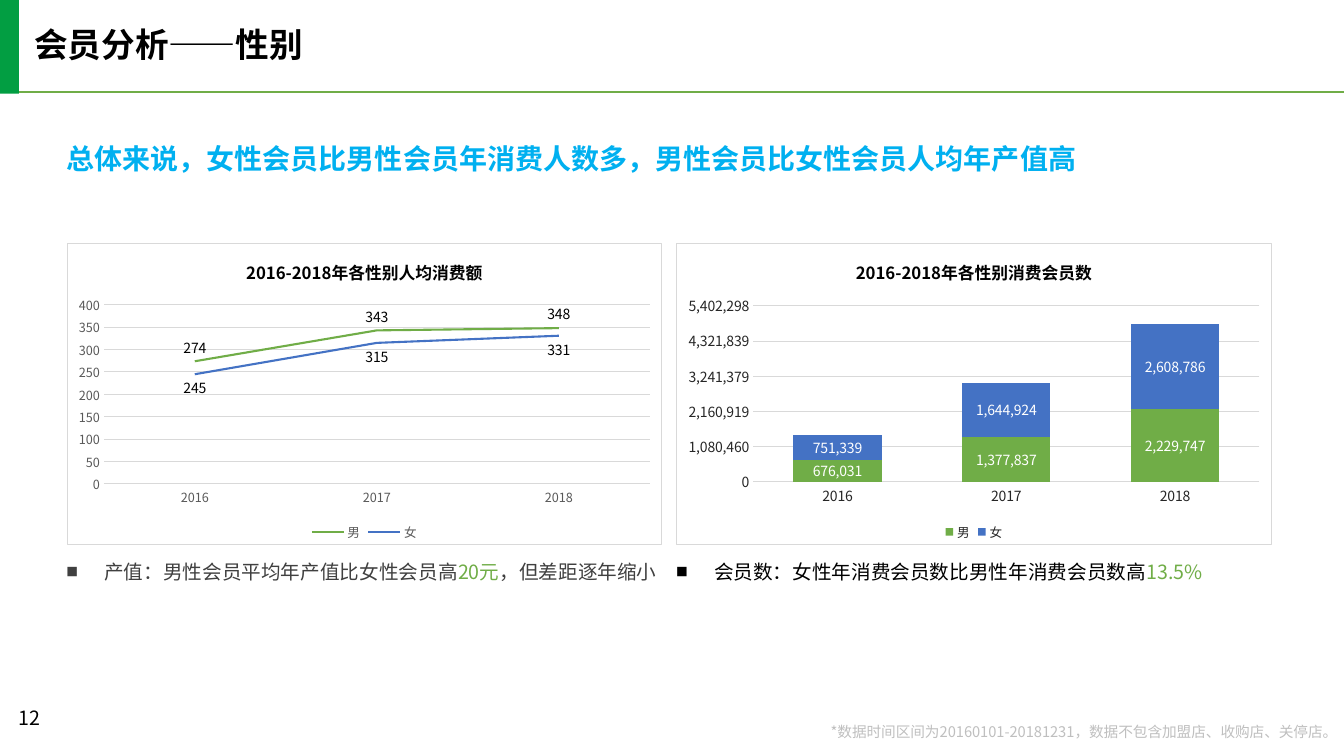
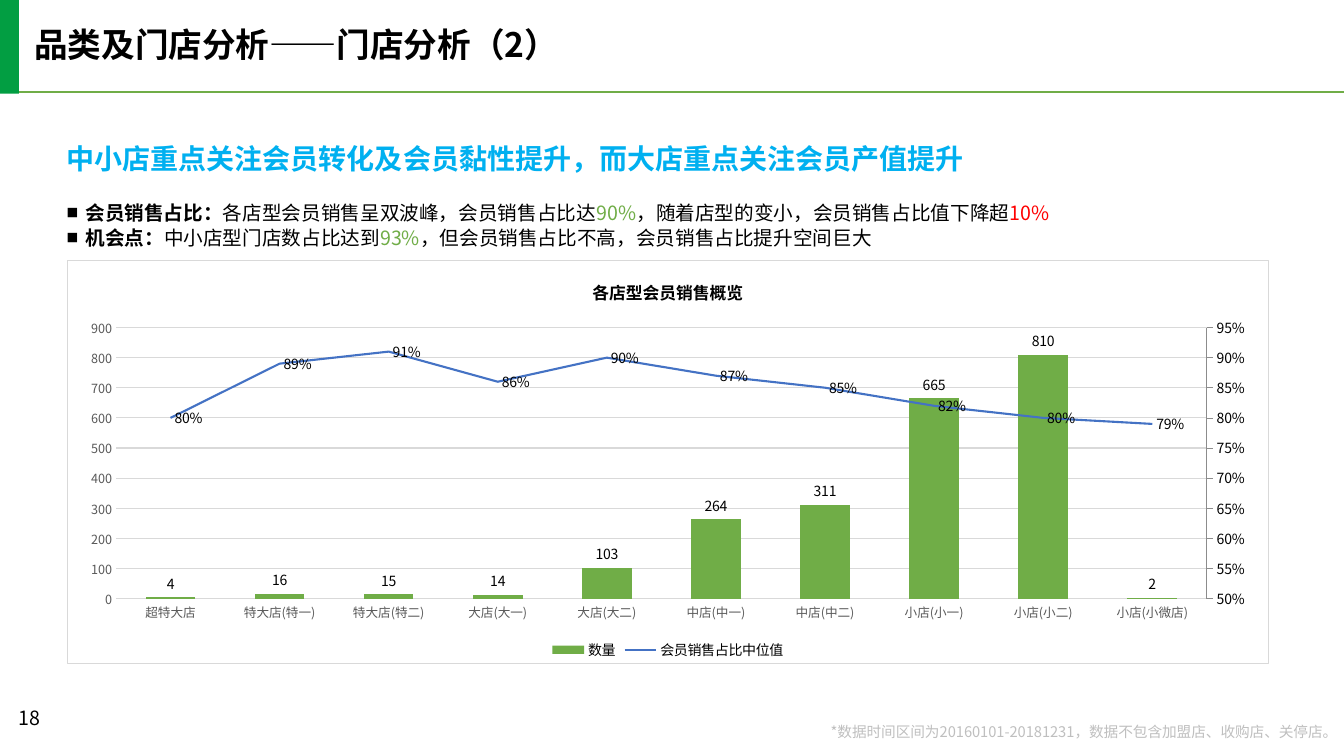
from lxml.etree import SubElement
from pptx import Presentation
from pptx.chart.axis import ValueAxis
from pptx.chart.data import CategoryChartData
from pptx.dml.color import RGBColor
from pptx.enum.chart import XL_CHART_TYPE as ChartType, XL_LABEL_POSITION as LabelPosition
from pptx.enum.chart import XL_LEGEND_POSITION as LegendPosition, XL_MARKER_STYLE as MarkerStyle
from pptx.enum.chart import XL_TICK_MARK as TickMark
from pptx.enum.shapes import MSO_CONNECTOR as Connector, MSO_SHAPE as Shape
from pptx.enum.text import MSO_ANCHOR as Anchor, MSO_AUTO_SIZE as AutoSize, PP_ALIGN as Align
from pptx.oxml import parse_xml
from pptx.oxml.ns import nsdecls, qn
from pptx.util import Pt

FONT = "Noto Sans CJK SC"
COLORS = {
    "black": "000000", "white": "FFFFFF", "band": "029E42", "green": "70AD47",
    "blue": "4472C4", "headline": "00B0F0", "red": "FF0000", "dark": "262626",
    "text": "404040", "axis": "595959", "grid": "D9D9D9", "footnote": "BFBFBF",
    "right_axis": "8C8C8C",
}
RGB = {name: RGBColor.from_string(value) for name, value in COLORS.items()}
FOOTNOTE = "*数据时间区间为20160101-20181231，数据不包含加盟店、收购店、关停店。"
MARGIN = 47.5


def set_font(font, size, color="black", bold=False):
    font.size, font.bold, font.name = Pt(size), bold, FONT
    font.color.rgb = RGB[color]
    SubElement(font._rPr, qn("a:ea"), typeface=FONT)


def add_text(slide, box, paragraphs, size, color="black", bold=False, align=Align.LEFT,
             spacing=1.0, anchor=Anchor.TOP, indent=0, wrap=True, grow=False):
    frame = slide.shapes.add_textbox(*map(Pt, box)).text_frame
    frame.margin_left = frame.margin_right = frame.margin_top = frame.margin_bottom = 0
    frame.word_wrap, frame.vertical_anchor = wrap, anchor
    frame.auto_size = AutoSize.SHAPE_TO_FIT_TEXT if grow else AutoSize.NONE
    for index, runs in enumerate(paragraphs):
        paragraph = frame.add_paragraph() if index else frame.paragraphs[0]
        paragraph.alignment, paragraph.line_spacing = align, spacing
        if indent:
            properties = paragraph._p.get_or_add_pPr()
            properties.set("marL", str(Pt(indent)))
            properties.set("indent", str(-Pt(indent)))
            SubElement(properties, qn("a:buSzPct"), val="60000")
            SubElement(properties, qn("a:buFont"), typeface=FONT)
            SubElement(properties, qn("a:buChar"), char="■")
        for text, changes in runs:
            run = paragraph.add_run()
            run.text = text
            set_font(run.font, **({"size": size, "color": color, "bold": bold} | changes))


GREEN, RED, BOLD = {"color": "green"}, {"color": "red"}, {"bold": True}
YEARS = ["2016", "2017", "2018"]
PAIR_LEFT, PAIR_TOP, PAIR_WIDTH, PAIR_HEIGHT, PAIR_STEP = MARGIN, 173.5, 425.5, 216, 435.5
NOTE = {"size": 14, "anchor": Anchor.MIDDLE, "grow": True}
PAIR_NOTE = NOTE | {"spacing": 1.5, "indent": 27}

pages = [
    {
        "number": "12",
        "title": "会员分析——性别",
        "headline": "总体来说，女性会员比男性会员年消费人数多，男性会员比女性会员人均年产值高",
        "notes": [
            ((PAIR_LEFT, 393, 440.5, 22),
             [[("产值：男性会员平均年产值比女性会员高", {}), ("20元", GREEN),
               ("，但差距逐年缩小", {})]],
             PAIR_NOTE | {"color": "text"}),
            ((PAIR_LEFT + PAIR_STEP, 393, 430.5, 22),
             [[("会员数：女性年消费会员数比男性年消费会员数高", {}), ("13.5%", GREEN)]],
             PAIR_NOTE),
        ],
        "charts": [
            {
                "type": ChartType.LINE, "title": "2016-2018年各性别人均消费额",
                "box": (PAIR_LEFT, PAIR_TOP, PAIR_WIDTH, PAIR_HEIGHT), "categories": YEARS,
                "series": [
                    ("男", [274, 343, 348], "green", LabelPosition.ABOVE, "0"),
                    ("女", [245, 315, 331], "blue", LabelPosition.BELOW, "0"),
                ],
                "axis_font": (9, "axis"), "legend_font": (9, "axis"), "label_color": "black",
                "maximum": 400, "unit": 50, "format": "0",
            },
            {
                "type": ChartType.COLUMN_STACKED, "title": "2016-2018年各性别消费会员数",
                "box": (PAIR_LEFT + PAIR_STEP, PAIR_TOP, PAIR_WIDTH, PAIR_HEIGHT),
                "categories": YEARS,
                "series": [
                    ("男", [676031, 1377837, 2229747], "green", LabelPosition.CENTER, "#,##0"),
                    ("女", [751339, 1644924, 2608786], "blue", LabelPosition.CENTER, "#,##0"),
                ],
                "axis_font": (10, "dark"), "legend_font": (9, "dark"), "label_color": "white",
                "maximum": 5402298.25, "unit": 1080459.65, "format": "#,##0",
                "gap": 91, "overlap": 100,
            },
        ],
    },
    {
        "number": "18",
        "title": "品类及门店分析——门店分析（2）",
        "headline": "中小店重点关注会员转化及会员黏性提升，而大店重点关注会员产值提升",
        "notes": [
            ((MARGIN, 142, 835, 36),
             [[("会员销售占比：", BOLD), ("各店型会员销售呈双波峰，会员销售占比达", {}),
               ("90%", GREEN), ("，随着店型的变小，会员销售占比值下降超", {}), ("10%", RED)],
              [("机会点：", BOLD), ("中小店型门店数占比达到", {}), ("93%", GREEN),
               ("，但会员销售占比不高，会员销售占比提升空间巨大", {})]],
             NOTE | {"spacing": Pt(18), "indent": 13.5}),
        ],
        "charts": [
            {
                "type": ChartType.COLUMN_CLUSTERED, "title": "各店型会员销售概览",
                "box": (MARGIN, 186, 859, 288.5),
                "categories": ["超特大店", "特大店(特一)", "特大店(特二)", "大店(大一)",
                               "大店(大二)", "中店(中一)", "中店(中二)", "小店(小一)",
                               "小店(小二)", "小店(小微店)"],
                "series": [
                    ("数量", [4, 16, 15, 14, 103, 264, 311, 665, 810, 2], "green",
                     LabelPosition.OUTSIDE_END, "0"),
                    ("会员销售占比中位值",
                     [0.8, 0.89, 0.91, 0.86, 0.9, 0.87, 0.85, 0.82, 0.8, 0.79], "blue",
                     LabelPosition.RIGHT, "0%"),
                ],
                "axis_font": (9, "axis"), "legend_font": (10, "black"), "label_color": "black",
                "maximum": 900, "unit": 100, "format": "0",
                "gap": 120, "overlap": 0, "right_line": True,
            },
        ],
    },
]

presentation = Presentation()
presentation.slide_width, presentation.slide_height = Pt(960), Pt(540)

for page in pages:
    slide = presentation.slides.add_slide(presentation.slide_layouts[6])

    rule = slide.shapes.add_connector(Connector.STRAIGHT, 0, Pt(66), Pt(960), Pt(66))
    rule.line.color.rgb, rule.line.width = RGB["green"], Pt(1.5)
    SubElement(rule._element.spPr, qn("a:effectLst"))

    band = slide.shapes.add_shape(Shape.RECTANGLE, 0, 0, Pt(13.5), Pt(67))
    band.shadow.inherit = False
    band.fill.solid()
    band.fill.fore_color.rgb = RGB["band"]
    band.line.fill.background()

    add_text(slide, (24.5, 20, 453, 26), [[(page["title"], {})]], 24, bold=True, spacing=0.9)
    add_text(slide, (MARGIN, 107, 868, 18.5), [[(page["headline"], {})]], 20,
             color="headline", bold=True, spacing=Pt(18), anchor=Anchor.MIDDLE, grow=True)
    add_text(slide, (582, 517.5, 373.5, 11.5), [[(FOOTNOTE, {})]], 10.5, color="footnote",
             align=Align.RIGHT, spacing=0.9, wrap=False, grow=True)
    add_text(slide, (13.5, 504, 50, 21.5), [[(page["number"], {})]], 14)
    for box, paragraphs, style in page["notes"]:
        add_text(slide, box, paragraphs, **style)

    for design in page["charts"]:
        data = CategoryChartData()
        data.categories = design["categories"]
        for name, values, color, position, number_format in design["series"]:
            data.add_series(name, values, number_format)
        chart = slide.shapes.add_chart(design["type"], *map(Pt, design["box"]), data).chart
        set_font(chart.font, 10)
        chart_space = chart._chartSpace
        chart_space.find(qn("c:chart")).addnext(parse_xml(
            f'<c:spPr {nsdecls("c", "a")}>'
            f'<a:solidFill><a:srgbClr val="{COLORS["white"]}"/></a:solidFill>'
            f'<a:ln w="{Pt(0.75)}"><a:solidFill><a:srgbClr val="{COLORS["grid"]}"/>'
            '</a:solidFill></a:ln></c:spPr>'))

        chart.has_title = True
        title = chart.chart_title.text_frame.paragraphs[0].add_run()
        title.text = design["title"]
        set_font(title.font, 12, bold=True)
        chart.has_legend = True
        chart.legend.position = LegendPosition.BOTTOM
        chart.legend.include_in_layout = False
        set_font(chart.legend.font, *design["legend_font"])

        category_axis, value_axis = chart.category_axis, chart.value_axis
        for axis in (category_axis, value_axis):
            axis.major_tick_mark = axis.minor_tick_mark = TickMark.NONE
            set_font(axis.tick_labels.font, *design["axis_font"])
        value_axis.format.line.fill.background()
        value_axis.minimum_scale, value_axis.maximum_scale = 0, design["maximum"]
        value_axis.major_unit = design["unit"]
        value_axis.tick_labels.number_format = design["format"]
        value_axis.tick_labels.number_format_is_linked = False
        for line in (category_axis.format.line, value_axis.major_gridlines.format.line):
            line.color.rgb, line.width = RGB["grid"], Pt(0.75)

        if "gap" in design:
            chart.plots[0].gap_width = design["gap"]
            chart.plots[0].overlap = design["overlap"]

        if "right_line" in design:
            line_plot, hidden_axis, right_element = parse_xml(
                f'<c:plotArea {nsdecls("c")}>'
                '<c:lineChart><c:grouping val="standard"/><c:varyColors val="0"/>'
                '<c:marker val="1"/><c:axId val="1001"/><c:axId val="1002"/></c:lineChart>'
                '<c:catAx><c:axId val="1001"/><c:scaling/><c:delete val="1"/>'
                '<c:axPos val="b"/><c:crossAx val="1002"/></c:catAx>'
                '<c:valAx><c:axId val="1002"/><c:scaling/><c:delete val="0"/>'
                '<c:axPos val="r"/><c:majorTickMark val="out"/><c:minorTickMark val="none"/>'
                '<c:tickLblPos val="nextTo"/><c:crossAx val="1001"/><c:crosses val="max"/>'
                '</c:valAx></c:plotArea>')
            bar_plot = chart_space.find(".//" + qn("c:barChart"))
            line_series = bar_plot.findall(qn("c:ser"))[1]
            for bar_setting in line_series.findall(qn("c:invertIfNegative")):
                line_series.remove(bar_setting)
            line_plot.insert(2, line_series)
            bar_plot.addnext(line_plot)
            left_element = chart_space.find(".//" + qn("c:valAx"))
            left_element.addnext(hidden_axis)
            hidden_axis.addnext(right_element)
            right_axis = ValueAxis(right_element)
            right_axis.minimum_scale, right_axis.maximum_scale = 0.5, 0.95
            right_axis.major_unit = 0.05
            right_axis.tick_labels.number_format = "0%"
            right_axis.tick_labels.number_format_is_linked = False
            set_font(right_axis.tick_labels.font, 10)
            right_axis.format.line.color.rgb = RGB["right_axis"]
            right_axis.format.line.width = Pt(0.5)

        for plot in chart.plots:
            plot.vary_by_categories = False
        all_series = [series for plot in chart.plots for series in plot.series]
        for series, (_, _, color, position, number_format) in zip(all_series, design["series"]):
            if hasattr(series, "smooth"):
                series.smooth = False
                series.marker.style = MarkerStyle.NONE
                series.format.line.color.rgb = RGB[color]
                series.format.line.width = Pt(1.5)
            else:
                series.format.fill.solid()
                series.format.fill.fore_color.rgb = RGB[color]
            labels = series.data_labels
            labels.show_value, labels.position = True, position
            labels.number_format, labels.number_format_is_linked = number_format, False
            set_font(labels.font, 10, design["label_color"])

presentation.save("out.pptx")
